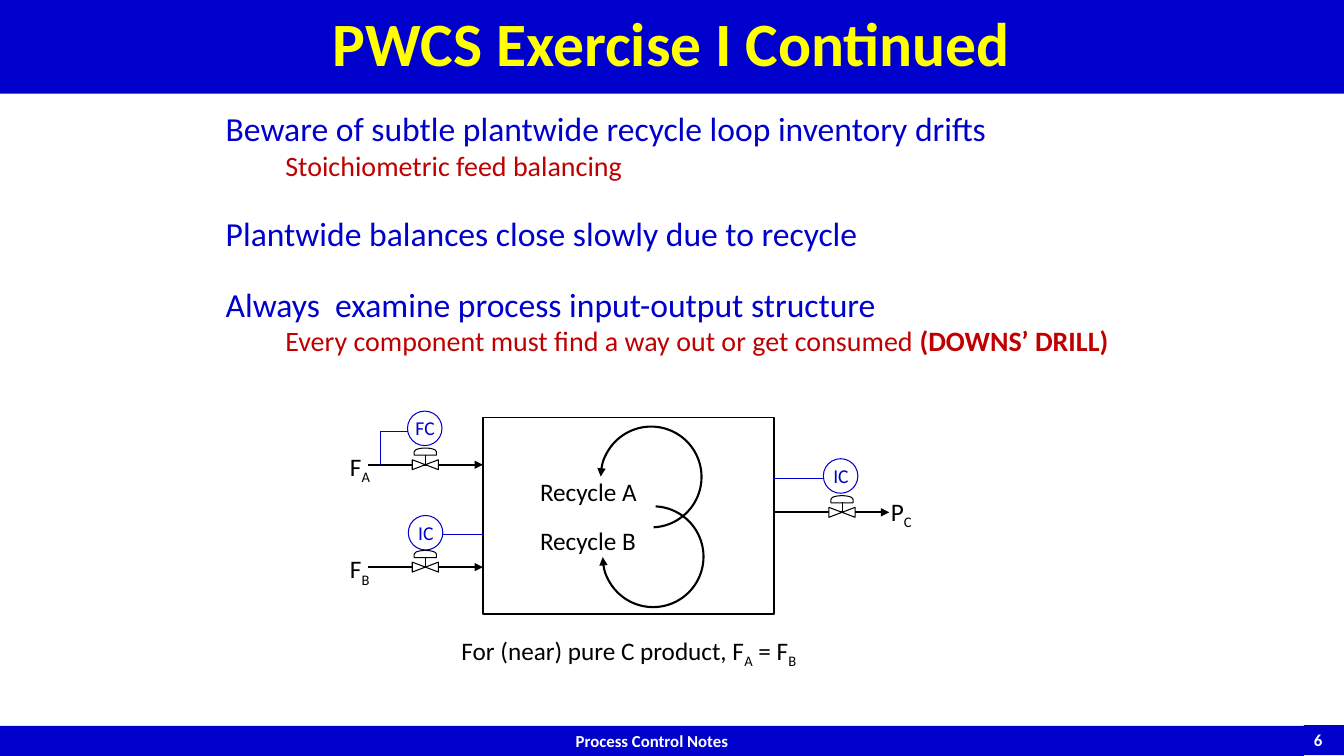
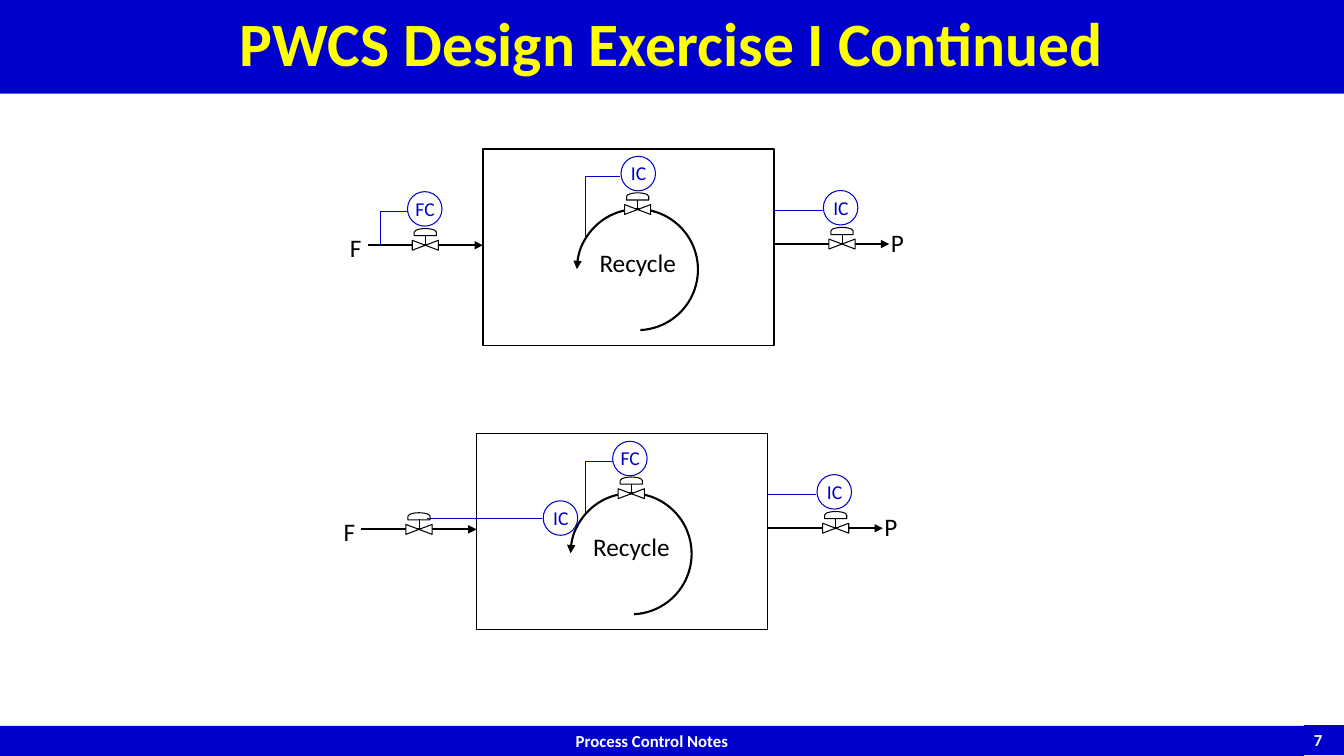
from lxml.etree import SubElement
from pptx import Presentation
from pptx.dml.color import RGBColor
from pptx.enum.shapes import MSO_CONNECTOR, MSO_SHAPE
from pptx.enum.text import MSO_ANCHOR, MSO_AUTO_SIZE, PP_ALIGN
from pptx.oxml.ns import qn
from pptx.util import Cm, Pt

BLUE = RGBColor(0x00, 0x00, 0xCC)
RED = RGBColor(0xC0, 0x00, 0x00)
YELLOW = RGBColor(0xFF, 0xFF, 0x00)
WHITE = RGBColor(0xFF, 0xFF, 0xFF)
BLACK = RGBColor(0x00, 0x00, 0x00)
FONT = "Calibri"
TITLE_ONLY = 5
SLIDE_WIDTH, SLIDE_HEIGHT = 33.87, 19.05
PLANT_WIDTH, PLANT_HEIGHT = 7.34, 4.95
CIRCLE = 0.87
FEED_LENGTH = 2.9


def write(paragraph, text, size=18, color=BLACK, bold=False):
    """Append text to a paragraph; the character after each underscore is a subscript."""

    def add_run(content, subscript=False):
        """Add one formatted run."""
        run = paragraph.add_run()
        run.text = content
        run.font.name, run.font.size, run.font.bold = FONT, Pt(size), bold
        run.font.color.rgb = color
        if subscript:
            run.font._element.set("baseline", "-25000")

    first, *others = text.split("_")
    add_run(first)
    for part in others:
        add_run(part[0], subscript=True)
        if part[1:]:
            add_run(part[1:])


def add_arrowhead(shape, end):
    """Put a triangle at the headEnd or tailEnd of a line."""
    outline = shape.line._get_or_add_ln()
    SubElement(outline, qn(f"a:{end}"), type="triangle")


class Deck:
    """Holds the shared style, the current slide and the origin for drawing."""

    def __init__(self):
        """Start a widescreen presentation."""
        self.presentation = Presentation()
        self.presentation.slide_width = Cm(SLIDE_WIDTH)
        self.presentation.slide_height = Cm(SLIDE_HEIGHT)
        self.slide = None
        self.left = self.top = 0

    def place(self, left, top):
        """Turn a position relative to the origin into lengths."""
        return Cm(self.left + left), Cm(self.top + top)

    def new_slide(self, title, number):
        """Add a slide with its title band and footer."""
        layout = self.presentation.slide_layouts[TITLE_ONLY]
        self.slide = self.presentation.slides.add_slide(layout)
        self.left = self.top = 0
        band = self.slide.shapes.title
        band.left, band.top = Cm(0), Cm(0)
        band.width, band.height = Cm(SLIDE_WIDTH), Cm(2.36)
        band.fill.solid()
        band.fill.fore_color.rgb = BLUE
        frame = band.text_frame
        frame.auto_size = MSO_AUTO_SIZE.NONE
        frame.vertical_anchor = MSO_ANCHOR.MIDDLE
        paragraph = frame.paragraphs[0]
        paragraph.alignment = PP_ALIGN.CENTER
        paragraph.line_spacing = 0.9
        write(paragraph, title, size=44, color=YELLOW, bold=True)
        self.footer(0, 18.29, 32.86, "Process Control Notes", PP_ALIGN.CENTER)
        self.footer(32.86, 18.27, 1.01, str(number), PP_ALIGN.LEFT)

    def footer(self, left, top, width, text, alignment):
        """Add one part of the footer band."""
        shape = self.shape(MSO_SHAPE.RECTANGLE, left, top, width, 0.76,
                           fill=BLUE, line=None)
        frame = shape.text_frame
        frame.word_wrap = alignment == PP_ALIGN.CENTER
        frame.vertical_anchor = MSO_ANCHOR.TOP
        paragraph = frame.paragraphs[0]
        paragraph.alignment = alignment
        write(paragraph, text, size=12, color=WHITE, bold=True)

    def shape(self, kind, left, top, width, height, fill=None, line=BLACK, weight=0.75):
        """Add a preset shape without shadow."""
        shape = self.slide.shapes.add_shape(
            kind, *self.place(left, top), Cm(width), Cm(height))
        shape.shadow.inherit = False
        if fill is None:
            shape.fill.background()
        else:
            shape.fill.solid()
            shape.fill.fore_color.rgb = fill
        if line is None:
            shape.line.fill.background()
        else:
            shape.line.color.rgb = line
            shape.line.width = Pt(weight)
        return shape

    def line(self, start, end, color=BLACK, weight=0.75, arrow=False):
        """Add a straight line, with an arrowhead at its end if asked."""
        connector = self.slide.shapes.add_connector(
            MSO_CONNECTOR.STRAIGHT, *self.place(*start), *self.place(*end))
        connector.line.color.rgb = color
        connector.line.width = Pt(weight)
        if arrow:
            add_arrowhead(connector, "tailEnd")
        SubElement(connector._element.spPr, qn("a:effectLst"))

    def text_box(self, left, top, width, height):
        """Add an unwrapped text box and return its frame."""
        box = self.slide.shapes.add_textbox(
            *self.place(left, top), Cm(width), Cm(height))
        box.text_frame.word_wrap = False
        return box.text_frame

    def label(self, text, left, top, width, height=1.02, **text_format):
        """Add a one-line label."""
        frame = self.text_box(left, top, width, height)
        write(frame.paragraphs[0], text, **text_format)

    def bullets(self, points):
        """Add main points, each with (text, bold) parts of an indented remark."""
        frame = self.text_box(5.44, 2.59, 22.94, 6.58)
        for index, (point, remark) in enumerate(points):
            paragraph = frame.add_paragraph() if index else frame.paragraphs[0]
            paragraph.space_before = Pt(22 if index else 0)
            write(paragraph, point, size=24, color=BLUE)
            if remark:
                paragraph = frame.add_paragraph()
                paragraph._p.get_or_add_pPr().set("marL", str(Cm(1.5)))
            for text, bold in remark:
                write(paragraph, text, size=20, color=RED, bold=bold)

    def valve(self, x, y):
        """Add a control valve centred on a stream."""
        for kind, rise, width, height in (
                (MSO_SHAPE.FLOWCHART_COLLATE, 0, 0.25, 0.66),
                (MSO_SHAPE.FLOWCHART_DELAY, 0.33, 0.18, 0.56)):
            part = self.shape(kind, x - width / 2, y - rise - height / 2,
                              width, height, fill=WHITE)
            part.rotation = 270
        self.line((x, y), (x, y - 0.25))

    def controller(self, name, left, top, *signal):
        """Add a controller circle and the signal line through the given points."""
        self.shape(MSO_SHAPE.OVAL, left, top, CIRCLE, CIRCLE, line=BLUE)
        shift, width = {"FC": (-0.05, 0.99), "IC": (0, 0.91)}[name]
        self.label(name, left + shift, top, width, CIRCLE, size=14, color=BLUE)
        for start, end in zip(signal, signal[1:]):
            self.line(start, end, color=BLUE)

    def recycle(self, left, top, size, flip=False):
        """Add a recycle loop arc with an arrowhead at its start."""
        arc = self.shape(MSO_SHAPE.ARC, left, top, size, size, weight=1.5)
        arc.adjustments[0], arc.adjustments[1] = 108.27, 52.32
        add_arrowhead(arc, "headEnd")
        if flip:
            arc._element.spPr.find(qn("a:xfrm")).set("flipV", "1")

    def plant(self, left, top, product, product_width):
        """Add the plant box with its level-controlled product; make it the origin."""
        self.left, self.top = left, top
        self.shape(MSO_SHAPE.RECTANGLE, 0, 0, PLANT_WIDTH, PLANT_HEIGHT, weight=1)
        self.line((PLANT_WIDTH, 2.39), (PLANT_WIDTH + FEED_LENGTH, 2.39),
                  weight=1.5, arrow=True)
        self.valve(9.05, 2.39)
        self.label(product, 10.03, 1.85, product_width)
        self.controller("IC", 8.58, 1.04, (PLANT_WIDTH, 1.54), (8.56, 1.54))

    def feed(self, name, y, width):
        """Add a feed stream with its valve and label."""
        self.line((-FEED_LENGTH, y), (0, y), weight=1.5, arrow=True)
        self.valve(-1.45, y)
        self.label(name, -3.6, y - 0.46, width)

    def feed_flow_controller(self, y):
        """Add the flow controller of a feed stream."""
        self.controller("FC", -1.9, y - 1.35,
                        (-2.59, y), (-2.59, y - 0.84), (-1.9, y - 0.84))

    def recycle_plant(self, left, top):
        """Add a plant with one feed, one product and one controlled recycle loop."""
        self.plant(left, top, "P", 0.84)
        self.feed("F", 2.42, 0.81)
        self.recycle(2.37, 1.51, 3.05)
        self.label("Recycle", 2.69, 2.35, 2.46)
        self.valve(3.9, 1.52)


def balance_slide(deck):
    """Build the slide on stoichiometric feed balancing."""
    deck.new_slide("PWCS Exercise I Continued", 6)
    deck.bullets([
        ("Beware of subtle plantwide recycle loop inventory drifts",
         [("Stoichiometric feed balancing", False)]),
        ("Plantwide balances close slowly due to recycle", []),
        ("Always  examine process input-output structure",
         [("Every component must find a way out or get consumed ", False),
          ("(DOWNS’ DRILL)", True)]),
    ])
    deck.label("For (near) pure C product, F_A = F_B", 11.38, 15.88, 9.09)
    deck.plant(12.17, 10.52, "P_C", 1.07)
    deck.feed("F_A", 1.19, 1.02)
    deck.feed_flow_controller(1.19)
    deck.feed("F_B", 3.77, 1.04)
    deck.controller("IC", -1.88, 2.47, (0, 2.95), (-1, 2.95))
    deck.recycle(2.97, 0.23, 2.54)
    deck.recycle(3.02, 2.24, 2.54, flip=True)
    deck.label("Recycle A", 1.19, 1.35, 2.97)
    deck.label("Recycle B", 1.19, 2.59, 2.95)


def structure_slide(deck):
    """Build the slide with the two control structures."""
    deck.new_slide("PWCS Design Exercise I Continued", 7)
    deck.recycle_plant(12.17, 3.76)
    deck.feed_flow_controller(2.42)
    deck.controller("IC", 3.48, 0.18, (2.58, 2.26), (2.58, 0.68), (3.45, 0.68))
    deck.recycle_plant(12.01, 10.92)
    deck.controller("FC", 3.43, 0.2, (2.74, 2.03), (2.74, 0.7), (3.43, 0.7))
    deck.controller("IC", 1.68, 1.7, (-1.24, 2.14), (1.65, 2.14))


deck = Deck()
balance_slide(deck)
structure_slide(deck)
deck.presentation.save("out.pptx")
